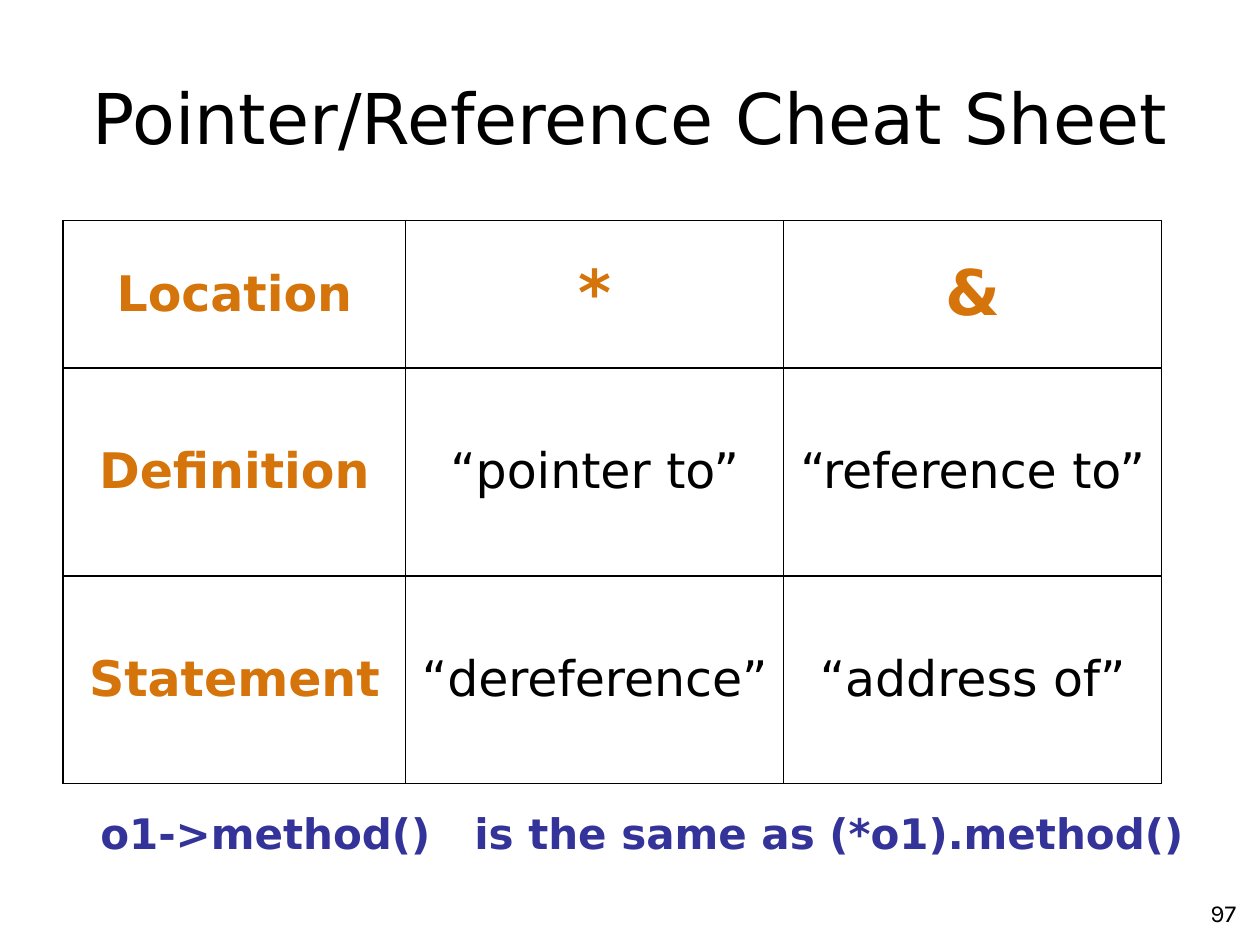
import pptx
import pptx.util
import pptx.dml.color
import pptx.enum.text
import pptx.oxml
import pptx.oxml.ns

Pt = pptx.util.Pt
ALIGN = pptx.enum.text.PP_ALIGN
MIDDLE = pptx.enum.text.MSO_ANCHOR.MIDDLE

COLORS = {"ink": "000000", "head": "D4740A", "note": "333399"}
SANS, NUMBER = "DejaVu Sans", "Karla"

TITLE = "Pointer/Reference Cheat Sheet"
ROWS = [
    ("Location", "*", "&"),
    ("Definition", "“pointer to”", "“reference to”"),
    ("Statement", "“dereference”", "“address of”"),
]
WIDTHS = (195.84, 216, 216)
HEIGHTS = (84.24, 118.8, 118.8)
NOTE = ("o1->method()", " ", "is the same as (*o1).method()")
GAP = 16.7  # points added to the space between the two halves of the note
PAGE = "97"


def style(para, size, color="ink", bold=False, font=SANS, align=ALIGN.CENTER):
    para.alignment = align
    for run in para.runs:
        run.font.size = Pt(size)
        run.font.name = font
        run.font.bold = bold
        run.font.color.rgb = pptx.dml.color.RGBColor.from_string(COLORS[color])


def add_box(slide, left, top, width, height, text=""):
    box = slide.shapes.add_textbox(Pt(left), Pt(top), Pt(width), Pt(height))
    frame = box.text_frame
    frame.word_wrap = True
    frame.text = text
    return frame


def add_borders(cell, width=1):
    props = cell._tc.get_or_add_tcPr()
    space = pptx.oxml.ns.nsdecls("a")
    for at, side in enumerate(("lnL", "lnR", "lnT", "lnB")):
        props.insert(at, pptx.oxml.parse_xml(
            f'<a:{side} {space} w="{Pt(width)}"><a:solidFill>'
            f'<a:srgbClr val="{COLORS["ink"]}"/></a:solidFill></a:{side}>'))


def add_grid(slide):
    shape = slide.shapes.add_table(
        len(ROWS), len(WIDTHS), Pt(36), Pt(126),
        Pt(sum(WIDTHS)), Pt(sum(HEIGHTS)))
    table = shape.table
    table.first_row = table.horz_banding = False
    for col, width in zip(table.columns, WIDTHS):
        col.width = Pt(width)
    for row, height in zip(table.rows, HEIGHTS):
        row.height = Pt(height)
    for r, row in enumerate(ROWS):
        for c, text in enumerate(row):
            cell = table.cell(r, c)
            cell.text = text
            cell.vertical_anchor = MIDDLE
            cell.fill.background()
            add_borders(cell)
            head = r == 0 or c == 0
            symbol = r == 0 and c > 0
            style(cell.text_frame.paragraphs[0], 36 if symbol else 28,
                  "head" if head else "ink", head)


def add_note(slide):
    frame = add_box(slide, 23.76, 450.72, 696.24, 45.36)
    frame.margin_top, frame.margin_right = Pt(11), Pt(17.2)
    para = frame.paragraphs[0]
    for text in NOTE:
        para.add_run().text = text
    style(para, 24, "note", True)
    para.runs[1].font._element.set("spc", str(round(GAP * 100)))


def main():
    deck = pptx.Presentation()
    deck.slide_width, deck.slide_height = Pt(720), Pt(540)
    slide = deck.slides.add_slide(deck.slide_layouts[6])

    page = add_box(slide, 563.76, 509.76, 149.76, 26.64, PAGE)
    style(page.paragraphs[0], 14, font=NUMBER, align=ALIGN.RIGHT)

    title = add_box(slide, 36, 21.6, 648, 90, TITLE)
    title.vertical_anchor = MIDDLE
    style(title.paragraphs[0], 40)

    add_grid(slide)
    add_note(slide)
    deck.save("out.pptx")


if __name__ == "__main__":
    main()
